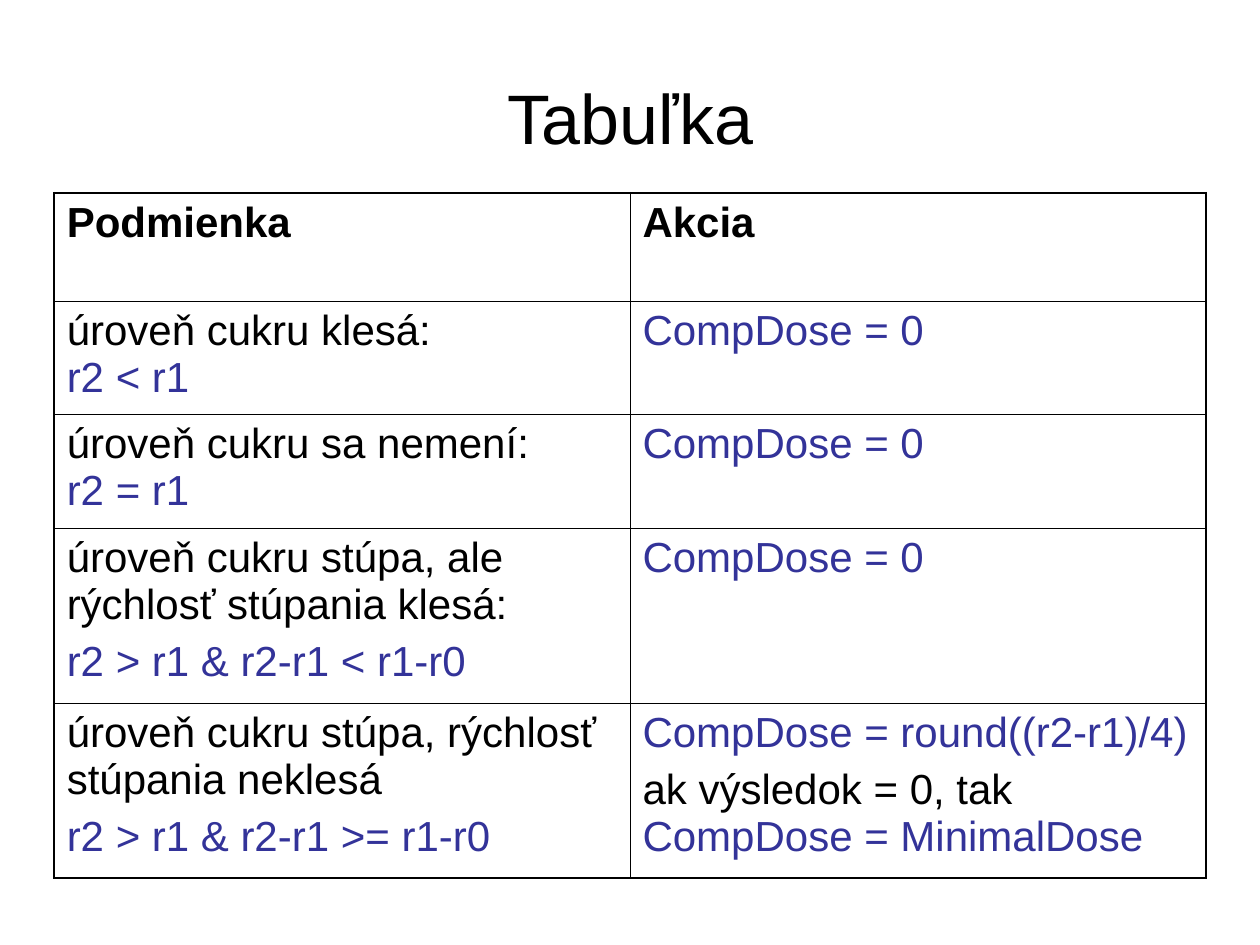
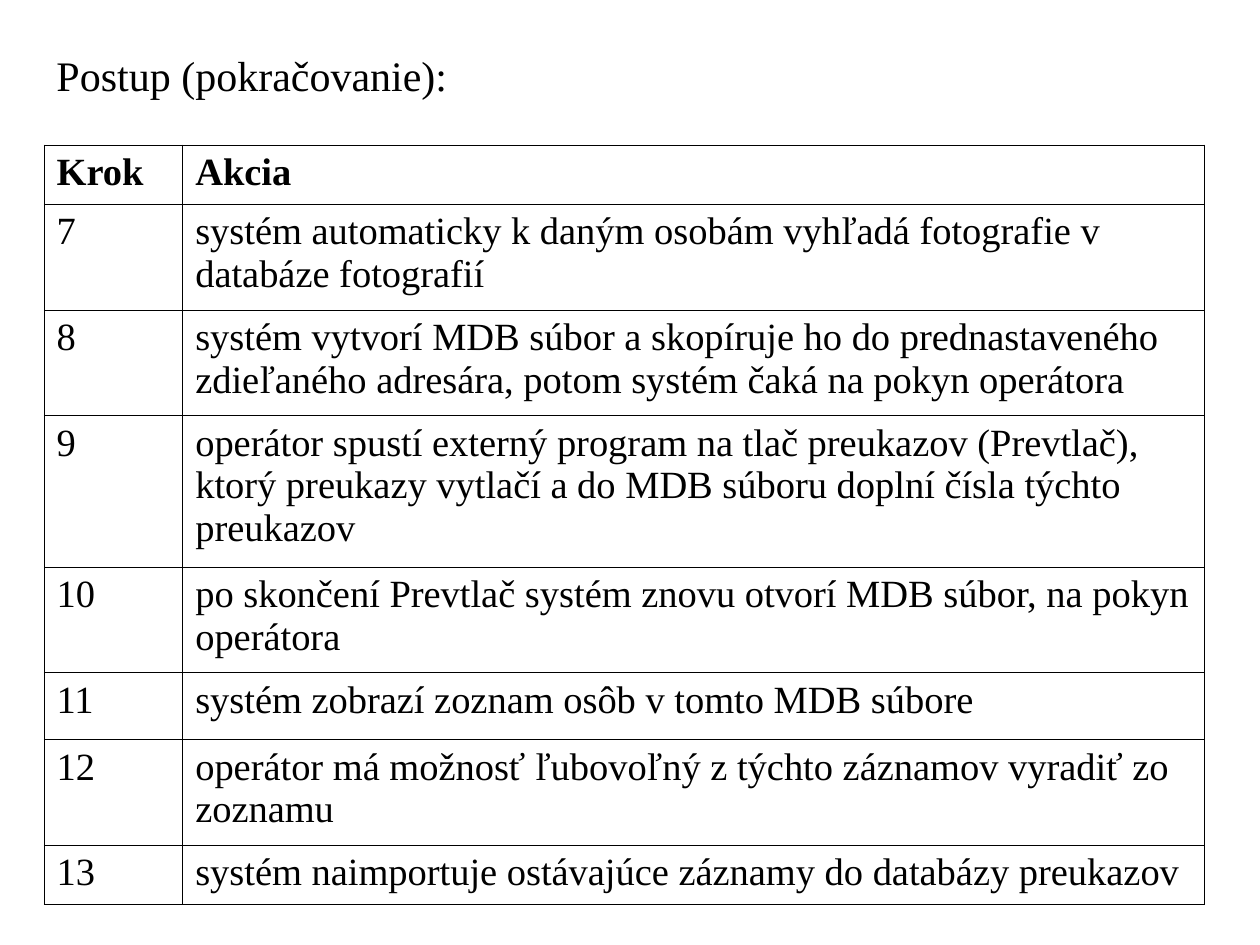
import pptx
import pptx.dml.color
import pptx.enum.text
import pptx.oxml
import pptx.oxml.ns
import pptx.util
from pptx.util import Inches

BLACK = "000000"
BLUE = "333399"
SANS = "Arial"
SERIF = "Times New Roman"
THIN, THICK = 0.45, 1.08
CENTER = pptx.enum.text.PP_ALIGN.CENTER
MIDDLE = pptx.enum.text.MSO_ANCHOR.MIDDLE


def rgb(color):
    return pptx.dml.color.RGBColor.from_string(color)


def code(text):
    return text, BLUE


def write(tf, paragraphs, font=SANS, size=24, color=BLACK, bold=False, align=None, gap=0):
    """Fill tf with paragraphs: each a string or a list of (text, colour) runs; "\\n" breaks the line."""
    for i, runs in enumerate(paragraphs):
        p = tf.paragraphs[0] if i == 0 else tf.add_paragraph()
        p.alignment = align
        if i and gap:
            p.space_before = pptx.util.Pt(gap)
        for text, run_color in [(runs, color)] if isinstance(runs, str) else runs:
            if text == "\n":
                p.add_line_break()
                continue
            r = p.add_run()
            r.text = text
            r.font.name = font
            r.font.size = pptx.util.Pt(size)
            r.font.bold = bold
            r.font.color.rgb = rgb(run_color)


def set_borders(cell, widths):
    """Draw the cell's left, right, top and bottom lines, given their widths in points."""
    tc_pr = cell._tc.get_or_add_tcPr()
    for side, width in zip("LRTB", widths):
        tc_pr.append(pptx.oxml.parse_xml(
            f'<a:ln{side} {pptx.oxml.ns.nsdecls("a")} w="{pptx.util.Pt(width)}">'
            f'<a:solidFill><a:srgbClr val="{BLACK}"/></a:solidFill></a:ln{side}>'))


class Deck:
    """Holds the presentation, the current slide and its font."""

    def __init__(self):
        self.prs = pptx.Presentation()
        self.prs.slide_width, self.prs.slide_height = Inches(10), Inches(7.5)

    def slide(self, font):
        self.s = self.prs.slides.add_slide(self.prs.slide_layouts[6])
        self.font = font

    def text(self, text, left, top, width, height, anchor=None, wrap=True, **style):
        sp = self.s.shapes.add_textbox(Inches(left), Inches(top), Inches(width), Inches(height))
        tf = sp.text_frame
        tf.word_wrap = wrap
        tf.vertical_anchor = anchor
        write(tf, [text], font=self.font, **style)

    def table(self, rows, left, top, widths, heights, frame=THIN, **style):
        """Place a ruled table with a bold first row; frame is the outer line width."""
        table = self.s.shapes.add_table(
            len(rows), len(widths), Inches(left), Inches(top),
            Inches(sum(widths)), Inches(sum(heights))).table
        table.first_row = table.horz_banding = False
        for column, width in zip(table.columns, widths):
            column.width = Inches(width)
        for row, height in zip(table.rows, heights):
            row.height = Inches(height)
        for i, row in enumerate(rows):
            for j, paragraphs in enumerate(row):
                cell = table.cell(i, j)
                outer = (j == 0, j == len(widths) - 1, i == 0, i == len(rows) - 1)
                set_borders(cell, [frame if edge else THIN for edge in outer])
                cell.fill.background()
                if isinstance(paragraphs, str):
                    paragraphs = [paragraphs]
                write(cell.text_frame, paragraphs, font=self.font, bold=i == 0, **style)


def add_dose_table(deck):
    deck.slide(SANS)
    deck.text("Tabuľka", 0.5, 0.3, 9, 1.25, anchor=MIDDLE, size=40, align=CENTER)
    no_dose = [[code("CompDose = 0")]]
    line_break = ("\n", BLACK)
    rows = [
        ("Podmienka", "Akcia"),
        ([[("úroveň cukru klesá:", BLACK), line_break, code("r2 < r1")]], no_dose),
        ([[("úroveň cukru sa nemení:", BLACK), line_break, code("r2 = r1")]], no_dose),
        (["úroveň cukru stúpa, ale rýchlosť stúpania klesá:",
          [code("r2 > r1 & r2-r1 < r1-r0")]], no_dose),
        (["úroveň cukru stúpa, rýchlosť stúpania neklesá",
          [code("r2 > r1 & r2-r1 >= r1-r0")]],
         [[code("CompDose = round((r2-r1)/4)")],
          [("ak výsledok = 0, tak ", BLACK), code("CompDose = MinimalDose")]]),
    ]
    deck.table(rows, 0.43, 1.53, [4.57] * 2, [0.86, 0.9, 0.9, 1.39, 1.39],
               frame=THICK, size=24, gap=6)


def add_steps_table(deck):
    deck.slide(SERIF)
    actions = [
        "systém automaticky k daným osobám vyhľadá fotografie v databáze fotografií",
        "systém vytvorí MDB súbor a skopíruje ho do prednastaveného zdieľaného adresára, "
        "potom systém čaká na pokyn operátora",
        "operátor spustí externý program na tlač preukazov (Prevtlač), "
        "ktorý preukazy vytlačí a do MDB súboru doplní čísla týchto preukazov",
        "po skončení Prevtlač systém znovu otvorí MDB súbor, na pokyn operátora",
        "systém zobrazí zoznam osôb v tomto MDB súbore",
        "operátor má možnosť ľubovoľný z týchto záznamov vyradiť zo zoznamu",
        "systém naimportuje ostávajúce záznamy do databázy preukazov",
    ]
    steps = [(str(number), action) for number, action in enumerate(actions, 7)]
    deck.table([("Krok", "Akcia")] + steps, 0.35, 1.15, [1.1, 8.11],
               [0.47, 0.84, 0.84, 1.2, 0.84, 0.53, 0.84, 0.47], size=22)
    deck.text("Postup (pokračovanie):", 0.35, 0.34, 3.3, 0.5, wrap=False, size=24)


def main():
    deck = Deck()
    add_dose_table(deck)
    add_steps_table(deck)
    deck.prs.save("out.pptx")


if __name__ == "__main__":
    main()
